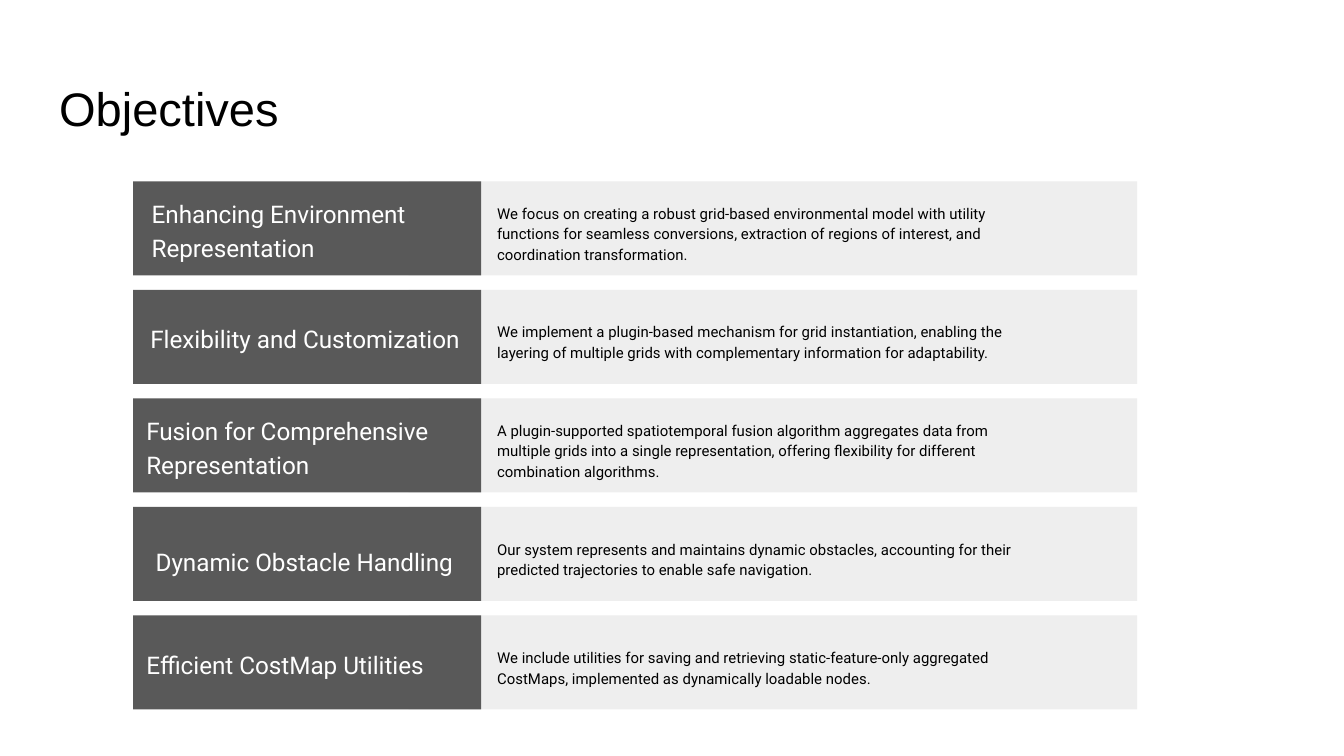
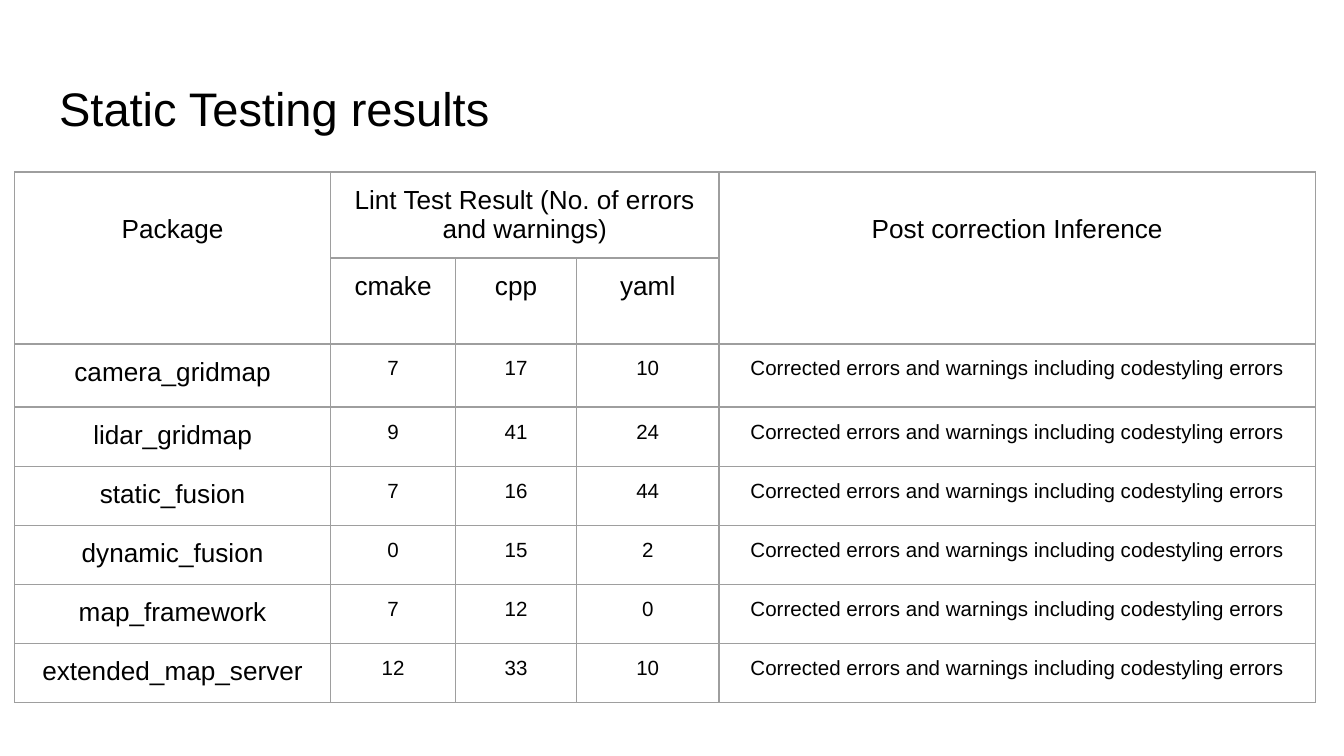
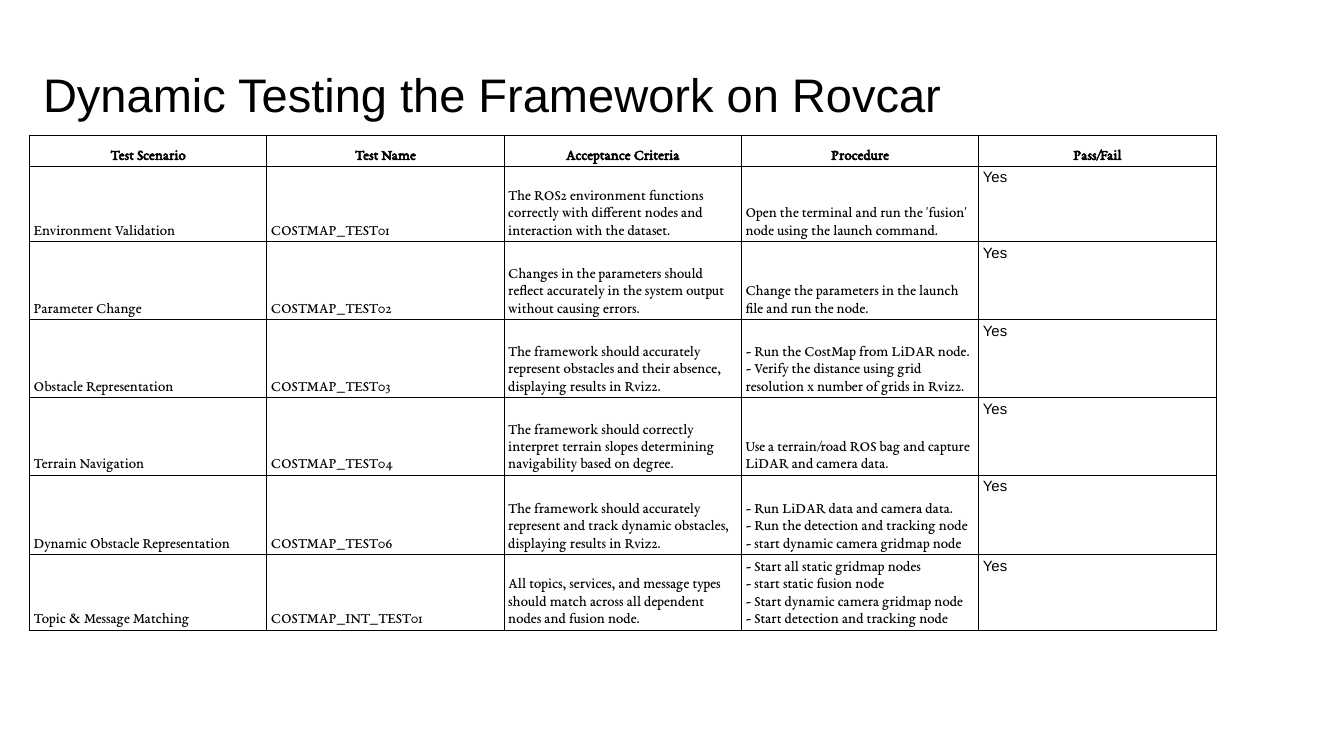
from lxml.etree import SubElement
from pptx import Presentation
from pptx.dml.color import RGBColor
from pptx.enum.shapes import MSO_SHAPE as Shape
from pptx.enum.text import MSO_ANCHOR as Anchor, MSO_AUTO_SIZE as AutoSize, PP_ALIGN as Align
from pptx.oxml.ns import qn
from pptx.util import Inches, Pt

BLACK, WHITE = "000000", "FFFFFF"
LABEL_GREY, BAND_GREY, RULE_GREY = "595959", "EEEEEE", "9E9E9E"
SANS, LABEL_FONT, SERIF = "Arial", "Roboto", "EB Garamond"
TITLE_ONLY = 5
BAND_HEIGHT = 7


def grid(cells):
    """Length of a number of grid columns or rows; the slide is 100 by 56.25."""
    return Inches(cells / 10)


def color(hex_string):
    return RGBColor.from_string(hex_string)


def set_insets(holder, left, top, right, bottom):
    holder.margin_left, holder.margin_top = grid(left), grid(top)
    holder.margin_right, holder.margin_bottom = grid(right), grid(bottom)


def write(frame, wording, font, size, ink=BLACK, bold=False, align=Align.LEFT, spacing=1.0):
    frame.text = wording
    for paragraph in frame.paragraphs:
        paragraph.alignment = align
        paragraph.line_spacing = spacing
        for run in paragraph.runs:
            run.font.name, run.font.size = font, Pt(size)
            run.font.bold = bold
            run.font.color.rgb = color(ink)


def rule_cell(cell, ink, width):
    """Draw the four borders of a table cell."""
    properties = cell._tc.get_or_add_tcPr()
    for place, side in enumerate(("lnL", "lnR", "lnT", "lnB")):
        border = SubElement(properties, qn(f"a:{side}"), w=str(Pt(width)))
        fill = SubElement(border, qn("a:solidFill"))
        SubElement(fill, qn("a:srgbClr"), val=ink)
        properties.insert(place, border)


class Deck:
    def __init__(self):
        self.show = Presentation()
        self.show.slide_width, self.show.slide_height = grid(100), grid(56.25)
        self.slide = None

    def start(self, heading, left=3.4, top=4.9):
        self.slide = self.show.slides.add_slide(self.show.slide_layouts[TITLE_ONLY])
        title = self.slide.shapes.title
        title.left, title.top, title.width, title.height = map(grid, (left, top, 93.2, 6.3))
        frame = title.text_frame
        write(frame, heading, SANS, 25.2)
        set_insets(frame, 1, 1, 1, 1)
        frame.word_wrap, frame.auto_size = True, AutoSize.NONE
        frame.vertical_anchor = Anchor.TOP

    def band(self, shapes, fill, *place):
        band = shapes.add_shape(Shape.RECTANGLE, *map(grid, place))
        band.shadow.inherit = False
        band.fill.solid()
        band.fill.fore_color.rgb = color(fill)
        band.line.fill.background()

    def caption(self, shapes, wording, size, ink, place, bottom_inset=1):
        frame = shapes.add_textbox(*map(grid, place)).text_frame
        frame.word_wrap = True
        frame.vertical_anchor = Anchor.MIDDLE
        set_insets(frame, 1, 1, 1, bottom_inset)
        write(frame, wording, LABEL_FONT, size, ink, spacing=1.15)

    def objective(self, top, name, detail, label_left, label_drop):
        shapes = self.slide.shapes.add_group_shape().shapes
        self.band(shapes, BAND_GREY, 30.4, top, 54.2, BAND_HEIGHT)
        self.band(shapes, LABEL_GREY, 9.9, top, 25.9, BAND_HEIGHT)
        self.caption(shapes, name, 13, WHITE, (label_left, top + label_drop, 27.5, 5.4))
        self.caption(shapes, detail, 8, BLACK, (36, top, 42.1, BAND_HEIGHT), 0.4)

    def table(self, left, top, widths, heights, ink, rule, insets):
        """Add an empty ruled table and return it."""
        table = self.slide.shapes.add_table(
            len(heights), len(widths), grid(left), grid(top),
            grid(sum(widths)), grid(sum(heights))).table
        table.first_row = table.horz_banding = False
        for column, width in zip(table.columns, widths):
            column.width = grid(width)
        for row, height in zip(table.rows, heights):
            row.height = grid(height)
        for cell in table.iter_cells():
            cell.fill.background()
            set_insets(cell, *insets)
            rule_cell(cell, ink, rule)
        return table


OBJECTIVES = [
    ("Enhancing Environment Representation",
     "We focus on creating a robust grid-based environmental model with utility functions for "
     "seamless conversions, extraction of regions of interest, and coordination transformation.",
     10.3, 0.8),
    ("Flexibility and Customization",
     "We implement a plugin-based mechanism for grid instantiation, enabling the layering of "
     "multiple grids with complementary information for adaptability.", 10.2, 0.8),
    ("Fusion for Comprehensive Representation",
     "A plugin-supported spatiotemporal fusion algorithm aggregates data from multiple grids into "
     "a single representation, offering flexibility for different combination algorithms.",
     9.9, 0.8),
    ("Dynamic Obstacle Handling",
     "Our system represents and maintains dynamic obstacles, accounting for their predicted "
     "trajectories to enable safe navigation.", 10.6, 1.2),
    ("Efficient CostMap Utilities",
     "We include utilities for saving and retrieving static-feature-only aggregated CostMaps, "
     "implemented as dynamically loadable nodes.", 9.9, 0.8),
]

LINT_COUNTS = {
    "camera_gridmap": (7, 17, 10),
    "lidar_gridmap": (9, 41, 24),
    "static_fusion": (7, 16, 44),
    "dynamic_fusion": (0, 15, 2),
    "map_framework": (7, 12, 0),
    "extended_map_server": (12, 33, 10),
}
INFERENCE = "Corrected errors and warnings including codestyling errors"

TEST_HEADINGS = ("Test Scenario", "Test Name", "Acceptance Criteria", "Procedure", "Pass/Fail")
TESTS = [
    ("Environment Validation", "COSTMAP_TEST01",
     "The ROS2 environment functions correctly with different nodes and interaction with the "
     "dataset.",
     "Open the terminal and run the 'fusion' node using the launch command."),
    ("Parameter Change", "COSTMAP_TEST02",
     "Changes in the parameters should reflect accurately in the system output without causing "
     "errors.",
     "Change the parameters in the launch file and run the node."),
    ("Obstacle Representation", "COSTMAP_TEST03",
     "The framework should accurately represent obstacles and their absence, displaying results "
     "in Rviz2.",
     "- Run the CostMap from LiDAR node.\n"
     "- Verify the distance using grid resolution x number of grids in Rviz2."),
    ("Terrain Navigation", "COSTMAP_TEST04",
     "The framework should correctly interpret terrain slopes determining navigability based on "
     "degree.",
     "Use a terrain/road ROS bag and capture LiDAR and camera data."),
    ("Dynamic Obstacle Representation", "COSTMAP_TEST06",
     "The framework should accurately represent and track dynamic obstacles, displaying results "
     "in Rviz2.",
     "- Run LiDAR data and camera data.\n- Run the detection and tracking node\n"
     "- start dynamic camera gridmap node"),
    ("Topic & Message Matching", "COSTMAP_INT_TEST01",
     "All topics, services, and message types should match across all dependent nodes and fusion "
     "node.",
     "- Start all static gridmap nodes\n- start static fusion node\n"
     "- Start dynamic camera gridmap node\n- Start detection and tracking node"),
]


def objectives(deck):
    deck.start("Objectives")
    first, last = 13.5, 45.8
    pitch = (last - first) / (len(OBJECTIVES) - 1)
    for index, objective in enumerate(OBJECTIVES):
        deck.objective(first + index * pitch, *objective)


def static_testing(deck):
    deck.start("Static Testing results")
    results = deck.table(1.1, 12.8, (23.5, 9.3, 9, 10.6, 16.8, 13.8, 13.8),
                         (6.4, 6.4, 4.7) + (4.4,) * 5, RULE_GREY, 0.75, (1, 1, 1, 1))

    def put(row, column, wording, size=14):
        write(results.cell(row, column).text_frame, str(wording), SANS, size, align=Align.CENTER)

    for column, last_column, heading in ((0, 0, "Package"), (4, 6, "Post correction Inference")):
        results.cell(0, column).merge(results.cell(1, last_column))
        results.cell(0, column).margin_top = grid(3.2)
        put(0, column, heading)
    results.cell(0, 1).merge(results.cell(0, 3))
    put(0, 1, "Lint Test Result (No. of errors and warnings)")
    for column, language in enumerate(("cmake", "cpp", "yaml"), 1):
        put(1, column, language)
    for row, (package_name, counts) in enumerate(LINT_COUNTS.items(), 2):
        results.cell(row, 4).merge(results.cell(row, 6))
        put(row, 0, package_name)
        for column, finding in enumerate((*counts, INFERENCE), 1):
            put(row, column, finding, 11)


def dynamic_testing(deck):
    deck.start("Dynamic Testing the Framework on Rovcar", 2.2, 3.9)
    tests = deck.table(2.2, 10.1, (17.66,) * 5, (2.3, 5.6, 5.8, 5.8, 5.8, 5.9, 5.6),
                       BLACK, 0.68, (0.3, 0.2, 0.3, 0.2))
    for row, entries in enumerate([TEST_HEADINGS, *TESTS]):
        heading = row == 0
        for column, entry in enumerate(entries):
            cell = tests.cell(row, column)
            cell.vertical_anchor = Anchor.BOTTOM
            write(cell.text_frame, entry, SERIF, 8, bold=heading,
                  align=Align.CENTER if heading else Align.LEFT, spacing=1.15)
        if not heading:
            verdict = tests.cell(row, 4)
            verdict.fill.solid()
            verdict.fill.fore_color.rgb = color(WHITE)
            write(verdict.text_frame, "Yes", SANS, 8)


def main():
    deck = Deck()
    objectives(deck)
    static_testing(deck)
    dynamic_testing(deck)
    deck.show.save("out.pptx")


if __name__ == "__main__":
    main()
